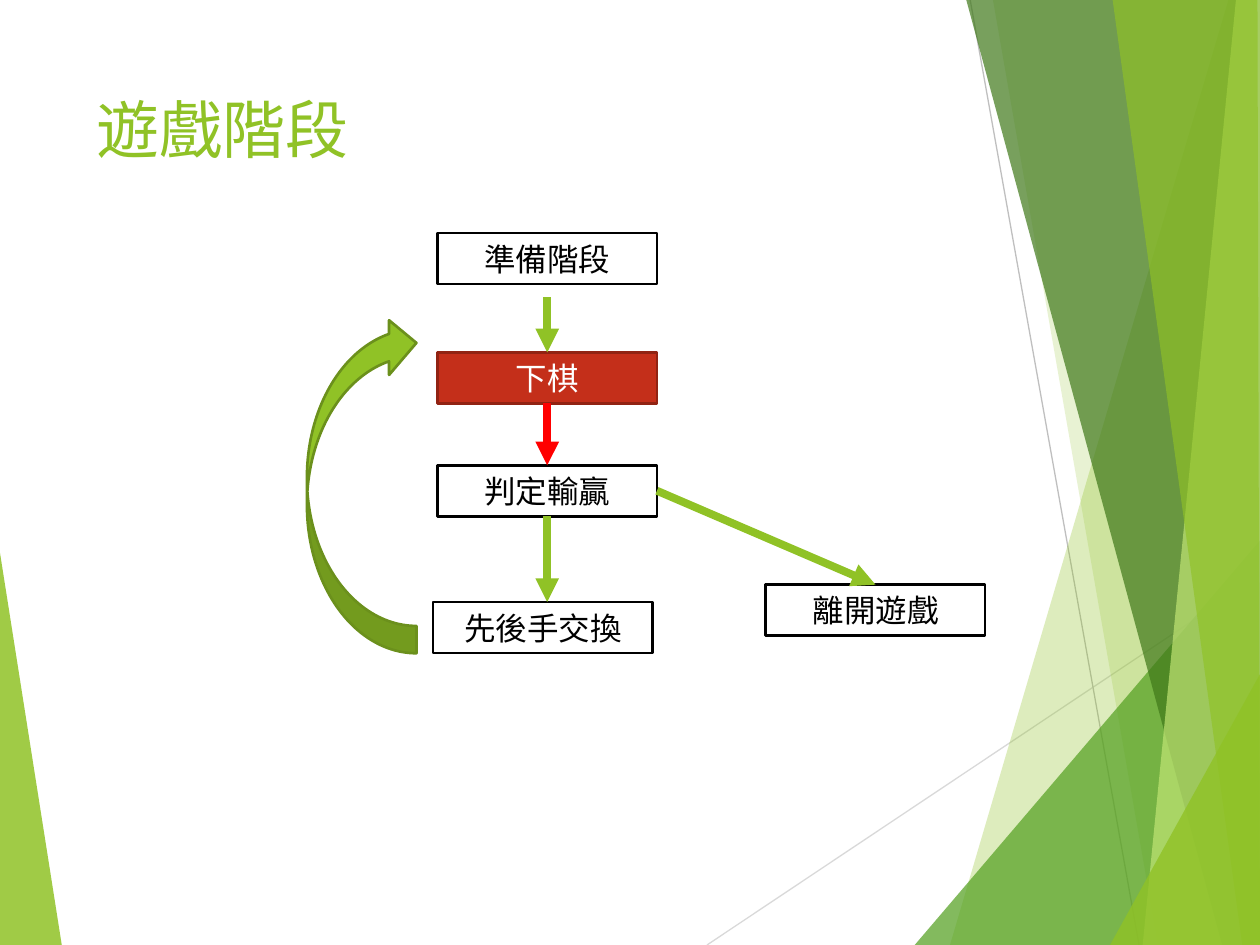
from lxml.etree import SubElement
from pptx import Presentation
from pptx.dml.color import RGBColor
from pptx.enum.shapes import MSO_CONNECTOR, MSO_SHAPE
from pptx.enum.text import MSO_ANCHOR, PP_ALIGN
from pptx.oxml.ns import qn
from pptx.util import Pt

WIDTH, HEIGHT = 720, 540
STAGE_WIDTH, STAGE_HEIGHT = 125.4, 29.1
FONT = "Roboto"

LIME = RGBColor(0x90, 0xC2, 0x26)
LIME_EDGE = RGBColor(0x6B, 0x90, 0x1C)
PALE_LIME = RGBColor(0xC0, 0xE4, 0x74)
GREEN = RGBColor(0x54, 0xA0, 0x21)
DARK_GREEN = RGBColor(0x3F, 0x78, 0x19)
BRICK = RGBColor(0xC4, 0x2F, 0x1A)
BRICK_EDGE = RGBColor(0x91, 0x23, 0x13)
RED = RGBColor(0xFF, 0x00, 0x00)
BLACK = RGBColor(0x00, 0x00, 0x00)
WHITE = RGBColor(0xFF, 0xFF, 0xFF)
LIGHT_GRAY = RGBColor(0xD9, 0xD9, 0xD9)
GRAY = RGBColor(0xBF, 0xBF, 0xBF)

FACETS = [
    ([(0, 316), (35.3, HEIGHT), (0, HEIGHT)], LIME, 85),
    ([(702, 0), (542.9, HEIGHT), (WIDTH, HEIGHT), (WIDTH, 0)], LIME, 30),
    ([(567.4, 0), (661.7, HEIGHT), (WIDTH, HEIGHT), (WIDTH, 0)], LIME, 20),
    ([(522.7, HEIGHT), (WIDTH, 308.9), (WIDTH, HEIGHT)], GREEN, 72),
    ([(552.2, 0), (698.4, HEIGHT), (WIDTH, HEIGHT), (WIDTH, 0)], DARK_GREEN, 70),
    ([(706.3, 0), (653, HEIGHT), (WIDTH, HEIGHT), (WIDTH, 0)], PALE_LIME, 70),
    ([(635.8, 0), (709.9, HEIGHT), (WIDTH, HEIGHT), (718.6, 0)], LIME, 65),
    ([(634.3, HEIGHT), (WIDTH, 385.2), (WIDTH, HEIGHT)], LIME, 80),
]


def style_text(paragraph, text, size, color, alignment):
    paragraph.text = text
    paragraph.alignment = alignment
    paragraph.font.name = FONT
    paragraph.font.size = Pt(size)
    paragraph.font.color.rgb = color


def style_shape(shape, fill, edge):
    shape.shadow.inherit = False
    shape.fill.solid()
    shape.fill.fore_color.rgb = fill
    shape.line.color.rgb = edge
    shape.line.width = Pt(1.5)


def add_facet(slide, corners, color, opacity):
    points = [(Pt(x), Pt(y)) for x, y in corners]
    builder = slide.shapes.build_freeform(*points[0])
    builder.add_line_segments(points[1:])
    facet = builder.convert_to_shape()
    facet.shadow.inherit = False
    facet.fill.solid()
    facet.fill.fore_color.rgb = color
    facet.line.fill.background()
    tint = facet.fill._xPr.find(qn("a:solidFill"))[0]
    SubElement(tint, qn("a:alpha"), val=str(opacity * 1000))


def add_line(slide, start, end, color, width):
    line = slide.shapes.add_connector(
        MSO_CONNECTOR.STRAIGHT, *(Pt(value) for value in (*start, *end))
    )
    line.line.color.rgb = color
    line.line.width = Pt(width)
    SubElement(line._element.spPr, qn("a:effectLst"))
    return line


def add_arrow(slide, start, end, color=LIME):
    arrow = add_line(slide, start, end, color, 4.5)
    SubElement(arrow.line._get_or_add_ln(), qn("a:tailEnd"), type="triangle")


def add_title(slide, text):
    title = slide.shapes.add_textbox(Pt(48), Pt(48), Pt(500), Pt(104))
    title.text_frame.word_wrap = True
    title.text_frame.vertical_anchor = MSO_ANCHOR.TOP
    style_text(title.text_frame.paragraphs[0], text, 36, LIME, PP_ALIGN.LEFT)


def add_stage(slide, text, left, top, fill=WHITE, edge=BLACK, color=BLACK):
    stage = slide.shapes.add_shape(
        MSO_SHAPE.RECTANGLE, Pt(left), Pt(top), Pt(STAGE_WIDTH), Pt(STAGE_HEIGHT)
    )
    style_shape(stage, fill, edge)
    stage.text_frame.word_wrap = True
    stage.text_frame.vertical_anchor = MSO_ANCHOR.MIDDLE
    style_text(stage.text_frame.paragraphs[0], text, 18, color, PP_ALIGN.CENTER)


def add_return_arrow(slide):
    loop = slide.shapes.add_shape(
        MSO_SHAPE.CURVED_DOWN_ARROW, Pt(110.2), Pt(245.5), Pt(193), Pt(62.6)
    )
    loop.rotation = 270
    style_shape(loop, LIME, LIME_EDGE)


def add_backdrop(slide):
    left_facet, *right_facets = FACETS
    add_facet(slide, *left_facet)
    add_line(slide, (404, HEIGHT), (WIDTH, 329), LIGHT_GRAY, 0.75)
    add_line(slide, (554.4, 0), (650.9, HEIGHT), GRAY, 0.75)
    for facet in right_facets:
        add_facet(slide, *facet)


def add_flow(slide):
    column = 250
    center = column + STAGE_WIDTH / 2
    prepare, play, judge, swap = 133.2, 201.4, 265.9, 344
    leave_left, leave_top = 437.6, 334.1

    add_stage(slide, "準備階段", column, prepare)
    add_stage(slide, "下棋", column, play, BRICK, BRICK_EDGE, WHITE)
    add_stage(slide, "判定輸贏", column, judge)
    add_stage(slide, "先後手交換", 247.5, swap)
    add_arrow(slide, (center, 170), (center, play))
    add_arrow(slide, (center, judge + STAGE_HEIGHT), (center, swap))
    add_arrow(slide, (center, play + STAGE_HEIGHT), (center, judge), RED)
    add_return_arrow(slide)
    add_stage(slide, "離開遊戲", leave_left, leave_top)
    add_arrow(
        slide,
        (column + STAGE_WIDTH, judge + STAGE_HEIGHT / 2),
        (leave_left + STAGE_WIDTH / 2, leave_top),
    )


def main():
    presentation = Presentation()
    presentation.slide_width = Pt(WIDTH)
    presentation.slide_height = Pt(HEIGHT)
    slide = presentation.slides.add_slide(presentation.slide_layouts[6])
    add_backdrop(slide)
    add_title(slide, "遊戲階段")
    add_flow(slide)
    presentation.save("out.pptx")


if __name__ == "__main__":
    main()
